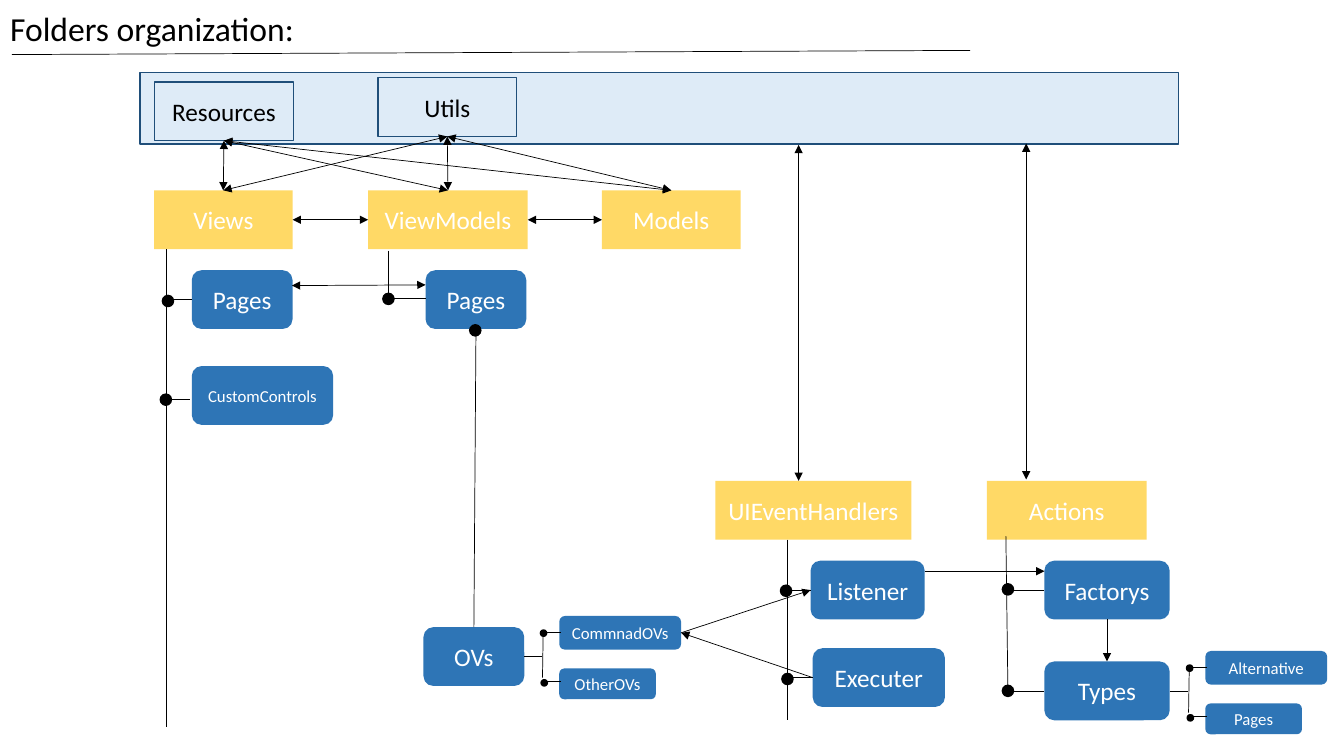
from lxml.etree import SubElement
from pptx import Presentation
from pptx.dml.color import RGBColor
from pptx.enum.shapes import MSO_CONNECTOR, MSO_SHAPE
from pptx.enum.text import MSO_ANCHOR, MSO_AUTO_SIZE, PP_ALIGN
from pptx.oxml.ns import qn
from pptx.util import Pt

deck = Presentation()
deck.slide_width, deck.slide_height = Pt(960), Pt(540)
slide = deck.slides.add_slide(deck.slide_layouts[5])
nodes = {}


def ink(fill, tone):
    fill.solid()
    fill.fore_color.rgb = RGBColor.from_string(tone)


def link(start, end, heads=()):
    spots = [(0, 0) if isinstance(p[0], str) else p for p in (start, end)]
    wire = slide.shapes.add_connector(
        MSO_CONNECTOR.STRAIGHT, *[Pt(v) for spot in spots for v in spot])
    for spot, join in ((start, wire.begin_connect), (end, wire.end_connect)):
        if isinstance(spot[0], str):
            join(nodes[spot[0]], spot[1])
    ink(wire.line.fill, "000000")
    wire.line.width = Pt(0.5)
    props = wire._element.spPr
    for head in heads:
        SubElement(props.find(qn("a:ln")), qn(head), type="triangle")
    SubElement(props, qn("a:effectLst"))


tail = ("a:tailEnd",)
both = ("a:headEnd",) + tail

title = slide.shapes.title
place = {"left": Pt(0), "top": Pt(-1), "width": Pt(430), "height": Pt(42)}
frame = {"word_wrap": True, "vertical_anchor": MSO_ANCHOR.MIDDLE,
         "auto_size": MSO_AUTO_SIZE.NONE}
for name, value in place.items():
    setattr(title, name, value)
title.text_frame.text = "Folders organization:"
for name, value in frame.items():
    setattr(title.text_frame, name, value)
head = title.text_frame.paragraphs[0]
head.alignment = PP_ALIGN.LEFT
for name, value in {"name": "Calibri", "size": Pt(24)}.items():
    setattr(head.runs[0].font, name, value)
ink(head.runs[0].font.fill, "000000")
ink(title.fill, "FFFFFF")

# kind: shape, fill, outline, text colour
looks = {
    "sky": (MSO_SHAPE.RECTANGLE, "DEEBF7", "1F4E79", "000000"),
    "gold": (MSO_SHAPE.RECTANGLE, "FFD966", None, "FFFFFF"),
    "blue": (MSO_SHAPE.ROUNDED_RECTANGLE, "2E75B6", None, "FFFFFF"),
    "dot": (MSO_SHAPE.OVAL, "000000", "000000", "FFFFFF"),
}
boxes = [
    ("band", "", "sky", 100, 52, 742, 51, 18),
    ("res", "Resources", "sky", 110.5, 58.5, 99, 42, 18),
    ("utils", "Utils", "sky", 270, 55.5, 99, 42, 18),
    ("views", "Views", "gold", 110, 136, 99, 42, 18),
    ("vm", "ViewModels", "gold", 263, 136, 114, 42, 18),
    ("models", "Models", "gold", 430, 136, 99, 42, 18),
    ("events", "UIEventHandlers", "gold", 511, 343.5, 140, 42, 18),
    ("acts", "Actions", "gold", 705, 343.5, 114, 42, 18),
    ("page", "Pages", "blue", 137, 193, 72, 42, 18),
    ("vmpage", "Pages", "blue", 304, 193, 72, 42, 18),
    ("custom", "CustomControls", "blue", 137, 261.5, 101, 42, 12),
    ("ovs", "OVs", "blue", 302.5, 448, 72, 42, 18),
    ("listen", "Listener", "blue", 579, 400.5, 81.5, 42, 18),
    ("exec", "Executer", "blue", 580.5, 463, 94.5, 42, 18),
    ("fact", "Factorys", "blue", 746, 400.5, 89.5, 42, 18),
    ("types", "Types", "blue", 746, 472.5, 89.5, 42, 18),
]
forks = [("ovs", 399.5, 440, 469, "CommnadOVs", "OtherOVs"),
         ("types", 861, 465, 493.5, "Alternative", "Pages")]
for root, x, y, mid, upper, lower in forks:
    boxes += [(root + "up", upper, "blue", x, y, 87, 24, 12),
              (root + "low", lower, "blue", x, y + 37.5, 69, 22, 12),
              (root + "dot", "", "dot", x - 13.5, y + 10, 4.5, 4.5, 12),
              (root + "end", "", "dot", x - 13, y + 45.5, 4.5, 4.5, 12)]
dots = [(120, 215), (118.5, 285.5), (277.5, 213.5), (339.5, 236),
        (561.5, 422), (562.5, 485), (720, 421), (720, 493.5)]
boxes += [(f"dot{i}", "", "dot", x - 4, y - 4, 8, 8, 12)
          for i, (x, y) in enumerate(dots)]

for key, text, kind, x, y, w, h, size in boxes:
    form, tone, edge, font = looks[kind]
    box = slide.shapes.add_shape(form, Pt(x), Pt(y), Pt(w), Pt(h))
    nodes[key] = box
    box.shadow.inherit = False
    ink(box.fill, tone)
    if edge:
        ink(box.line.fill, edge)
        box.line.width = Pt(1)
    else:
        box.line.fill.background()
    if text:
        box.text_frame.text = text
        for name, value in frame.items():
            setattr(box.text_frame, name, value)
        para = box.text_frame.paragraphs[0]
        para.alignment = PP_ALIGN.CENTER
        for name, value in {"name": "Calibri", "size": Pt(size)}.items():
            setattr(para.runs[0].font, name, value)
        ink(para.runs[0].font.fill, font)

for top in ("res", "utils"):
    for low in ("views", "vm", "models"):
        link((low, 0), (top, 2), both)

for start, end, heads in [
    (("views", 3), ("vm", 1), both),
    (("vm", 3), ("models", 1), both),
    ((208.5, 204), (304, 203.5), both),
    ((570.5, 103.5), (570.5, 343.5), both),
    ((733, 102.5), (733, 342.5), both),
    (("fact", 2), ("types", 0), tail),
    (("ovsup", 3), ("listen", 1), tail),
    (("exec", 1), ("ovsup", 3), tail),
    ((660.5, 408), (746, 408), tail),
    (("vmpage", 2), ("ovs", 0), ()),
    ((8.5, 39), (693, 36), ()),
    ((119, 178), (119, 519), ()),
    ((277.5, 179), (277.5, 211), ()),
    ((562.5, 385.5), (562.5, 514), ()),
    ((720, 497), (718.5, 383), ()),
    ((119, 214), ("page", 1), ()),
    ((118, 285), (136, 285), ()),
    ((276.5, 213), (304, 213), ()),
    ((561, 421.5), ("listen", 1), ()),
    ((562.5, 484), ("exec", 1), ()),
    ((718.5, 421.5), ("fact", 1), ()),
    ((719.5, 493.5), ("types", 1), ()),
]:
    link(start, end, heads)

for root, x, y, mid, upper, lower in forks:
    link((root, 3), (x - 12.5, mid))
    link((x - 11.5, y + 12), (x - 12, y + 44))
    link((x - 10, y + 11.5), (x + 1.5, y + 11.5))
    link((x - 10.5, y + 46.5), (x + 1.5, y + 46.5))

deck.save("out.pptx")
